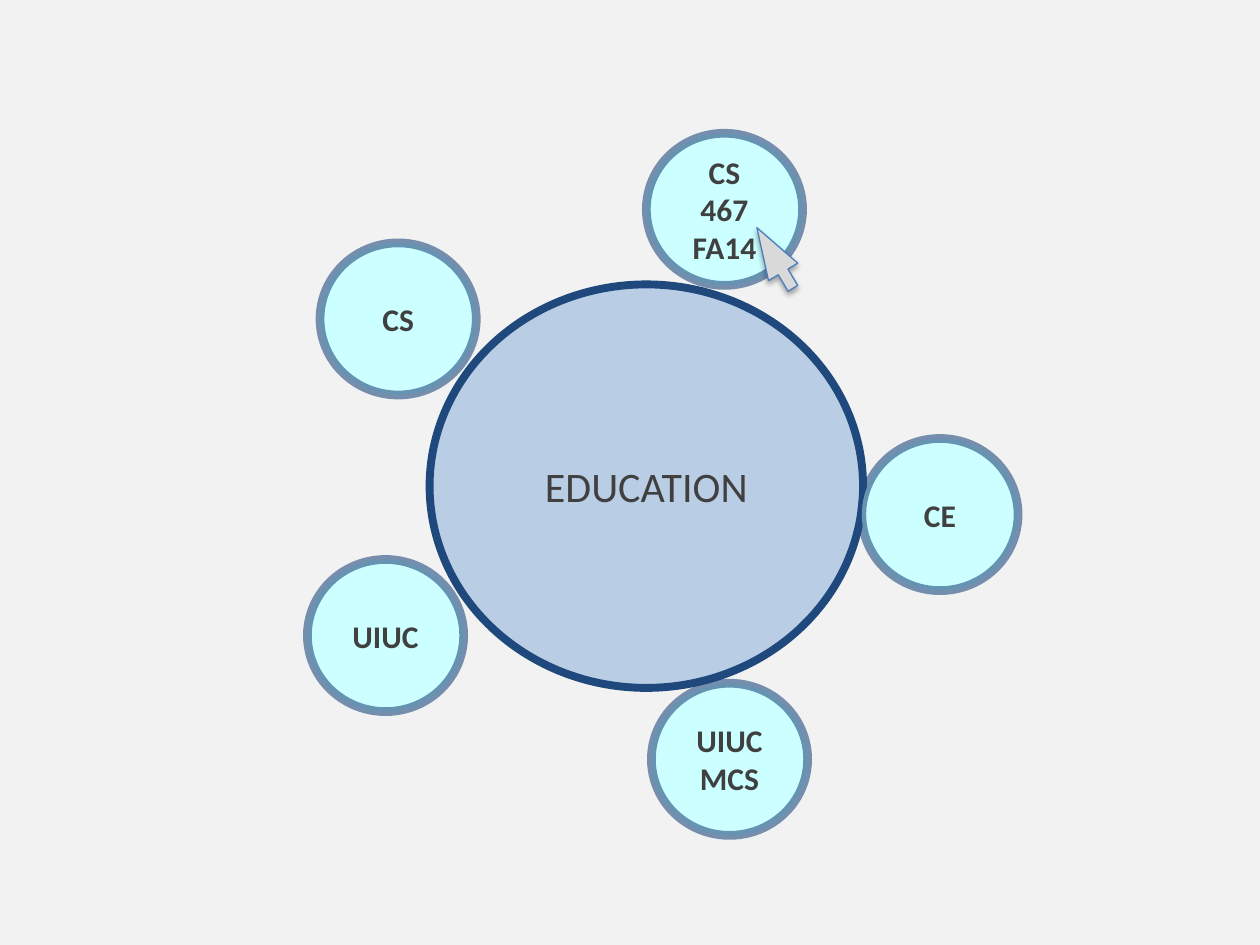
from lxml.etree import SubElement
from pptx import Presentation
from pptx.dml.color import RGBColor
from pptx.enum.shapes import MSO_SHAPE
from pptx.enum.text import MSO_ANCHOR, PP_ALIGN
from pptx.oxml.ns import qn
from pptx.util import Inches, Pt

WIDTH, HEIGHT = 10, 7.5
HUB = ("EDUCATION", 0.341, 0.301, 0.344, 0.427)
SATELLITE_SIZE = (0.124, 0.161)
SATELLITES = [
    ("UIUC", 0.244, 0.592),
    ("CE", 0.684, 0.464),
    ("CS", 0.254, 0.257),
    ("CS 467 FA14", 0.513, 0.141),
    ("UIUC MCS", 0.517, 0.723),
]
POINTER = (0.587, 0.255, 0.056, 0.036)
NAVY, TEXT = "1F497D", "404040"


def color(value):
    return RGBColor.from_string(value)


def add_alpha(color_element, percent):
    SubElement(color_element, qn("a:alpha"), val=str(percent * 1000))


def add_figure(slide, kind, box, fill, line, line_width):
    left, top, width, height = box
    shape = slide.shapes.add_shape(
        kind,
        Inches(left * WIDTH),
        Inches(top * HEIGHT),
        Inches(width * WIDTH),
        Inches(height * HEIGHT),
    )
    shape.shadow.inherit = False
    shape.fill.solid()
    shape.fill.fore_color.rgb = color(fill)
    shape.line.color.rgb = color(line)
    shape.line.width = Pt(line_width)
    return shape


def add_label(shape, text, size, bold):
    frame = shape.text_frame
    frame.word_wrap = True
    frame.vertical_anchor = MSO_ANCHOR.MIDDLE
    paragraph = frame.paragraphs[0]
    paragraph.text = text
    paragraph.alignment = PP_ALIGN.CENTER
    font = paragraph.font
    font.name = "Calibri"
    font.size = Pt(size)
    font.bold = bold
    font.color.rgb = color(TEXT)


def add_satellite(slide, text, left, top):
    box = (left, top, *SATELLITE_SIZE)
    shape = add_figure(slide, MSO_SHAPE.OVAL, box, "CCFFFF", NAVY, 5)
    line_color = shape.line._get_or_add_ln().find(f".//{qn('a:srgbClr')}")
    add_alpha(line_color, 59)
    add_label(shape, text, 18, True)


def add_pointer(slide):
    shape = add_figure(slide, MSO_SHAPE.RIGHT_ARROW, POINTER, "D9D9D9", "4B7EBC", 0.75)
    shape.adjustments[0] = 0.33
    shape.adjustments[1] = 1.51
    shape.rotation = 239.3
    effects = shape._element.spPr.find(qn("a:effectLst"))
    shadow = SubElement(
        effects,
        qn("a:outerShdw"),
        blurRad=str(Pt(3.1)),
        dist=str(Pt(1.8)),
        dir=str(90 * 60000),
        rotWithShape="0",
    )
    add_alpha(SubElement(shadow, qn("a:srgbClr"), val="000000"), 35)


def main():
    presentation = Presentation()
    presentation.slide_width = Inches(WIDTH)
    presentation.slide_height = Inches(HEIGHT)
    slide = presentation.slides.add_slide(presentation.slide_layouts[6])
    slide.background.fill.solid()
    slide.background.fill.fore_color.rgb = color("F2F2F2")

    hub_text, *hub_box = HUB
    hub = add_figure(slide, MSO_SHAPE.OVAL, hub_box, "B9CDE5", NAVY, 4.5)
    add_label(hub, hub_text, 24, False)
    for satellite in SATELLITES:
        add_satellite(slide, *satellite)
    add_pointer(slide)
    presentation.save("out.pptx")


if __name__ == "__main__":
    main()
